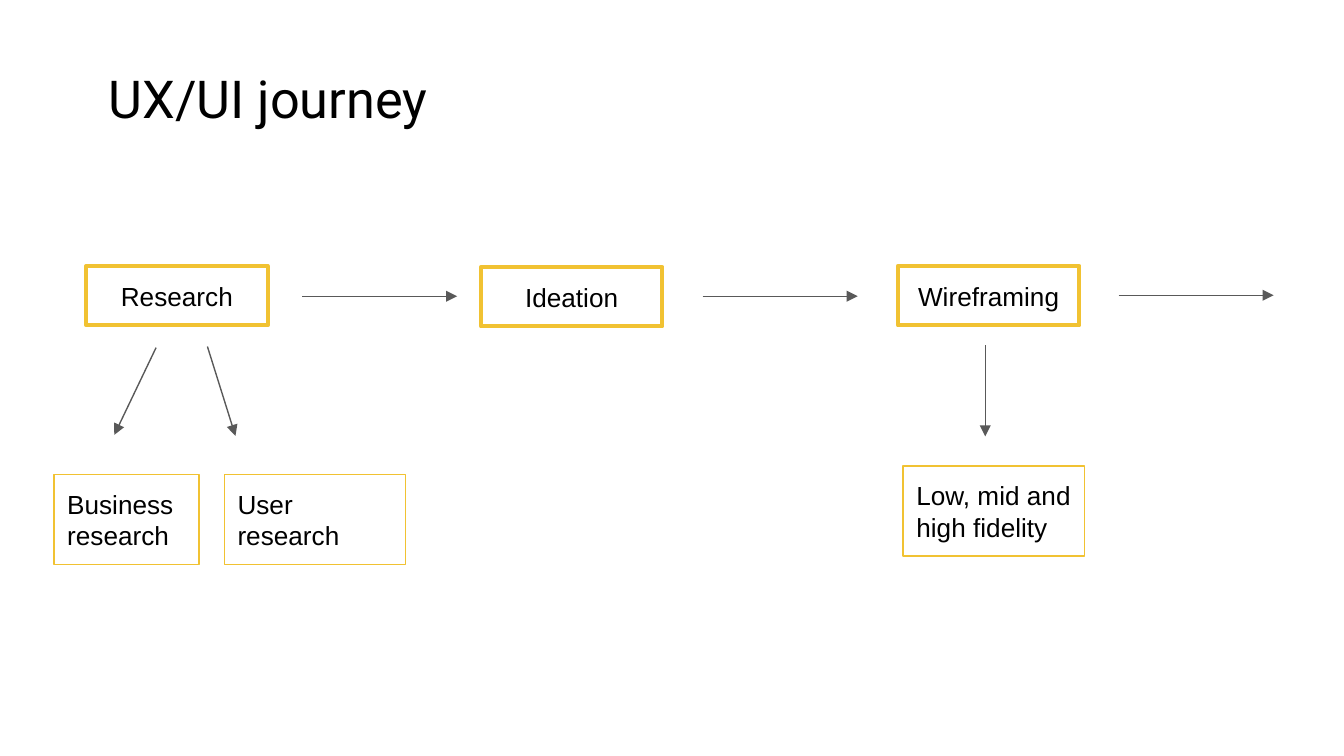
from dataclasses import dataclass

from lxml import etree
from pptx import Presentation
from pptx.dml.color import RGBColor
from pptx.enum.shapes import MSO_CONNECTOR, MSO_SHAPE
from pptx.enum.text import MSO_ANCHOR, MSO_AUTO_SIZE, PP_ALIGN
from pptx.oxml.ns import qn
from pptx.util import Cm, Pt

RECTANGLE = MSO_SHAPE.RECTANGLE
STRAIGHT = MSO_CONNECTOR.STRAIGHT
TOP, MIDDLE = MSO_ANCHOR.TOP, MSO_ANCHOR.MIDDLE
GROW = MSO_AUTO_SIZE.SHAPE_TO_FIT_TEXT
LEFT, CENTER = PP_ALIGN.LEFT, PP_ALIGN.CENTER
TITLE_ONLY = 5


@dataclass(frozen=True)
class Theme:
    text: RGBColor = RGBColor(0x00, 0x00, 0x00)
    outline: RGBColor = RGBColor(0xF1, 0xC2, 0x32)
    arrow: RGBColor = RGBColor(0x59, 0x59, 0x59)
    title_font: str = "Roboto"
    body_font: str = "Arial"
    title_size: Pt = Pt(28)
    body_size: Pt = Pt(14)
    thick: Pt = Pt(2.25)
    thin: Pt = Pt(0.75)


THEME = Theme()
INSET = Cm(0.25)
BOX_WIDTH = 3.43
STAGE_HEIGHT = 1.12
DETAIL_HEIGHT = 1.7
STEP_LENGTH = 2.93

# Left and top in cm
STAGES = [
    ("Research", 1.63, 5.03),
    ("Ideation", 9.09, 5.05),
    ("Wireframing", 16.97, 5.03),
]
# Left, top and width in cm
DETAILS = [
    ("Business research", 1.02, 8.97, 2.74),
    ("User research", 4.24, 8.97, BOX_WIDTH),
    ("Low, mid and high fidelity", 17.07, 8.81, BOX_WIDTH),
]
# Start of each step to the next stage
STEPS = [(5.71, 5.6), (13.28, 5.6), (21.14, 5.58)]
# Start and end of each arrow from a stage to its details
BRANCHES = [
    (2.95, 6.57, 2.16, 8.22),
    (3.92, 6.55, 4.45, 8.24),
    (18.62, 6.53, 18.62, 8.25),
]


def write_text(frame, text, font, size, align, anchor):
    frame.word_wrap = True
    frame.auto_size = GROW
    frame.vertical_anchor = anchor
    frame.margin_left = frame.margin_right = INSET
    frame.margin_top = frame.margin_bottom = INSET
    para = frame.paragraphs[0]
    para.alignment = align
    span = para.add_run()
    span.text = text
    span.font.name = font
    span.font.size = size
    span.font.color.rgb = THEME.text


def add_title(page, text):
    title = page.shapes.title
    title.left, title.top = Cm(1.8), Cm(1)
    title.width, title.height = Cm(8.33), Cm(1.7)
    write_text(title.text_frame, text, THEME.title_font, THEME.title_size, LEFT, TOP)


def add_box(page, text, left, top, width, height, weight, align):
    box = page.shapes.add_shape(RECTANGLE, Cm(left), Cm(top), Cm(width), Cm(height))
    box.shadow.inherit = False
    box.fill.background()
    box.line.color.rgb = THEME.outline
    box.line.width = weight
    write_text(box.text_frame, text, THEME.body_font, THEME.body_size, align, MIDDLE)


def add_arrow(page, start_x, start_y, end_x, end_y):
    arrow = page.shapes.add_connector(
        STRAIGHT, Cm(start_x), Cm(start_y), Cm(end_x), Cm(end_y)
    )
    arrow.line.color.rgb = THEME.arrow
    arrow.line.width = THEME.thin
    properties = arrow.element.spPr
    etree.SubElement(properties.find(qn("a:ln")), qn("a:tailEnd"), type="triangle")
    etree.SubElement(properties, qn("a:effectLst"))


def main():
    deck = Presentation()
    deck.slide_width, deck.slide_height = Cm(25.4), Cm(14.29)
    page = deck.slides.add_slide(deck.slide_layouts[TITLE_ONLY])

    add_title(page, "UX/UI journey")
    for text, left, top in STAGES:
        add_box(page, text, left, top, BOX_WIDTH, STAGE_HEIGHT, THEME.thick, CENTER)
    for text, left, top, width in DETAILS:
        add_box(page, text, left, top, width, DETAIL_HEIGHT, THEME.thin, LEFT)
    for x, y in STEPS:
        add_arrow(page, x, y, x + STEP_LENGTH, y)
    for branch in BRANCHES:
        add_arrow(page, *branch)

    deck.save("out.pptx")


if __name__ == "__main__":
    main()
